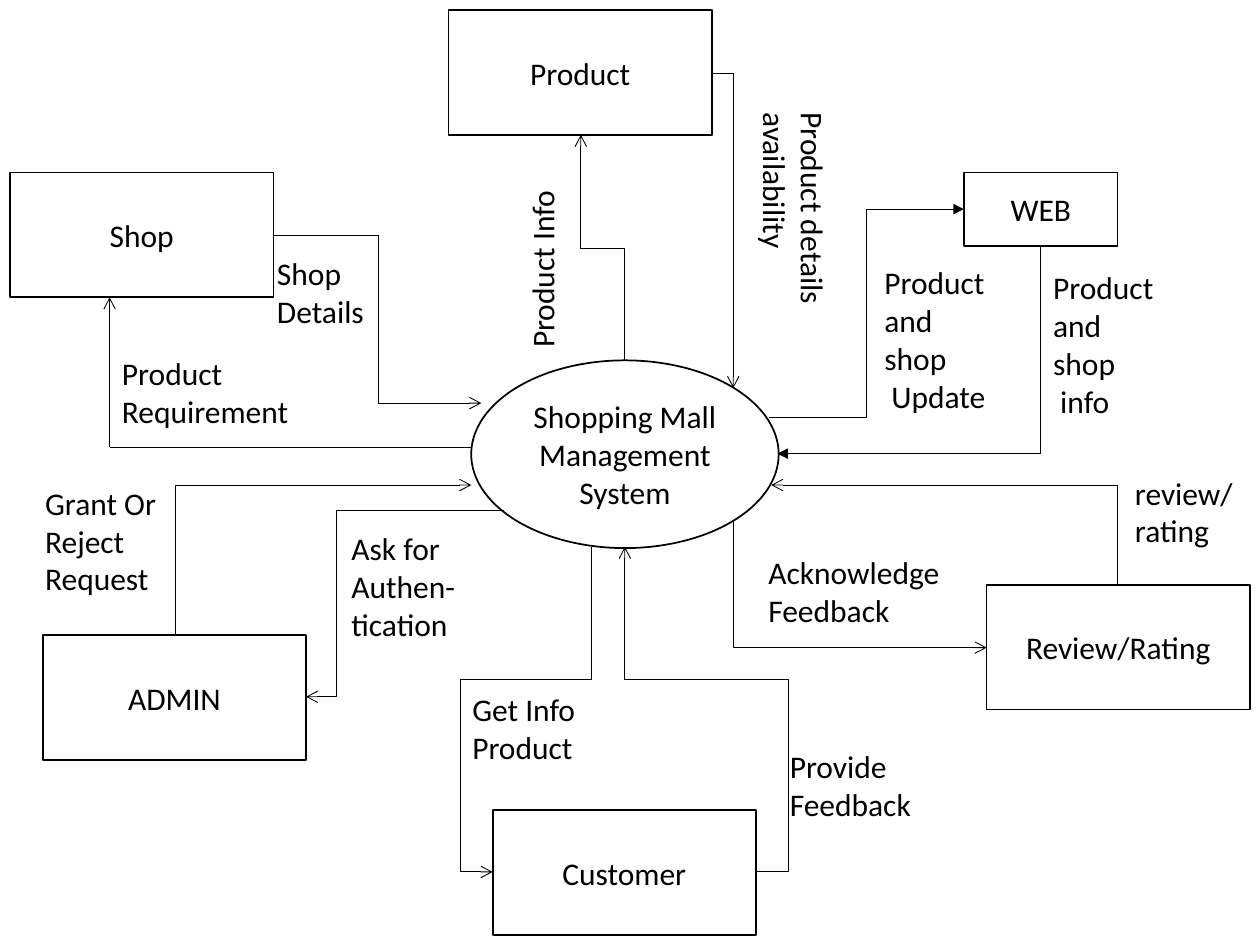
from lxml import etree
from pptx import Presentation
from pptx.dml.color import RGBColor
from pptx.enum.shapes import MSO_CONNECTOR, MSO_SHAPE
from pptx.enum.text import MSO_ANCHOR, MSO_AUTO_SIZE, PP_ALIGN
from pptx.oxml.ns import qn
from pptx.util import Inches, Pt

RECT, OVAL = MSO_SHAPE.RECTANGLE, MSO_SHAPE.OVAL
STRAIGHT, ELBOW = MSO_CONNECTOR.STRAIGHT, MSO_CONNECTOR.ELBOW
LEFT, CENTER = PP_ALIGN.LEFT, PP_ALIGN.CENTER
TOP, MIDDLE = MSO_ANCHOR.TOP, MSO_ANCHOR.MIDDLE
GROW = MSO_AUTO_SIZE.SHAPE_TO_FIT_TEXT

THEME = {
    "ink": RGBColor(0, 0, 0),
    "paper": RGBColor(255, 255, 255),
    "font": "Calibri",
    "size": Pt(18),
    "outline": Pt(1),
    "flow": Pt(0.5),
}

prs = Presentation()
prs.slide_width, prs.slide_height = Inches(10), Inches(7.5)
slide = prs.slides.add_slide(prs.slide_layouts[6])


def write(shape, text, align=LEFT, anchor=TOP, wrap=True):
    """Fill a shape with one paragraph per line of text."""
    frame = shape.text_frame
    frame.word_wrap = wrap
    frame.vertical_anchor = anchor
    for i, line in enumerate(text.split("\n")):
        paragraph = frame.add_paragraph() if i else frame.paragraphs[0]
        paragraph.alignment = align
        run = paragraph.add_run()
        run.text = line
        run.font.name, run.font.size = THEME["font"], THEME["size"]
        run.font.color.rgb = THEME["ink"]


def connect(points, head="arrow"):
    """Draw a straight or right-angled connector through the points."""
    (x0, y0), (x1, y1) = points[0], points[-1]
    dx, dy = x1 - x0, y1 - y0
    bends = len(points) - 2
    flow = slide.shapes.add_connector(
        ELBOW if bends else STRAIGHT,
        Inches(x0), Inches(y0), Inches(x1), Inches(y1))
    flow.line.color.rgb, flow.line.width = THEME["ink"], THEME["flow"]
    properties = flow._element.spPr
    if bends:
        geometry = properties.find(qn("a:prstGeom"))
        geometry.set("prst", f"bentConnector{bends + 1}")
        shares = [((x - x0) / dx, (y - y0) / dy) for x, y in points]
        axis = 0
        if points[1][0] == x0:
            # A vertical start is a turned connector with its sides swapped
            axis = 1
            width, height = abs(dy), abs(dx)
            flow.left = Inches((x0 + x1 - width) / 2)
            flow.top = Inches((y0 + y1 - height) / 2)
            flow.width, flow.height = Inches(width), Inches(height)
            frame = properties.find(qn("a:xfrm"))
            frame.set("rot", str((90 if dx * dy < 0 else 270) * 60000))
            frame.set("flipH", str(int(dx > 0)))
            frame.set("flipV", str(int(dy < 0)))
        guides = geometry.find(qn("a:avLst"))
        if guides is None:
            guides = etree.SubElement(geometry, qn("a:avLst"))
        for i in range(1, bends):
            share = shares[i][axis] if i == 1 else shares[i][1 - axis]
            etree.SubElement(guides, qn("a:gd"), name=f"adj{i}",
                             fmla=f"val {round(share * 100000)}")
    if head:
        etree.SubElement(properties.find(qn("a:ln")), qn("a:tailEnd"), type=head)
    etree.SubElement(properties, qn("a:effectLst"))


BOX = (2.09, 0.99)
entities = [
    ("Product", RECT, 3.56, 0.08, BOX),
    ("Shopping Mall\nManagement\nSystem", OVAL, 3.74, 2.86, (2.44, 1.49)),
    ("WEB", RECT, 7.65, 1.37, (1.22, 0.58)),
    ("Customer", RECT, 3.91, 6.43, BOX),
    ("Review/Rating", RECT, 7.83, 4.64, BOX),
    ("Shop", RECT, 0.08, 1.37, BOX),
    ("ADMIN", RECT, 0.34, 5.04, BOX),
]
for name, outline, left, top, (width, height) in entities:
    entity = slide.shapes.add_shape(
        outline, Inches(left), Inches(top), Inches(width), Inches(height))
    entity.shadow.inherit = False
    entity.fill.solid()
    entity.fill.fore_color.rgb = THEME["paper"]
    entity.line.color.rgb, entity.line.width = THEME["ink"], THEME["outline"]
    write(entity, name, align=CENTER, anchor=MIDDLE)

flows = [
    ([(5.65, 0.58), (5.82, 0.58), (5.82, 3.08)], "arrow"),
    ([(6, 6.92), (6.26, 6.92), (6.26, 5.39), (4.96, 5.39), (4.96, 4.34)], "arrow"),
    ([(4.69, 4.34), (4.69, 5.39), (3.65, 5.39), (3.65, 6.92), (3.91, 6.92)], "arrow"),
    ([(8.87, 4.64), (8.87, 3.85), (6.12, 3.85)], "arrow"),
    ([(2.17, 1.87), (3, 1.87), (3, 3.2), (3.82, 3.2)], "arrow"),
    ([(4.96, 2.86), (4.96, 1.97), (4.61, 1.97), (4.61, 1.07)], "arrow"),
    ([(4, 4.05), (2.67, 4.05), (2.67, 5.53), (2.43, 5.53)], "arrow"),
    ([(1.39, 5.04), (1.39, 3.85), (3.74, 3.85)], "arrow"),
    ([(5.82, 4.13), (5.82, 5.14), (7.83, 5.14)], "arrow"),
    ([(0.87, 3.55), (0.87, 2.36)], "arrow"),
    ([(3.74, 3.55), (0.87, 3.55)], None),
    ([(6.1, 3.31), (6.88, 3.31), (6.88, 1.66), (7.65, 1.66)], "triangle"),
    ([(8.26, 1.95), (8.26, 3.6), (6.17, 3.6)], "triangle"),
]
for points, head in flows:
    connect(points, head=head)

# Text, left, top, width, height, rotation, wrap
labels = [
    ("Product\nand\nshop\n info", 8.26, 2.08, 1.11, 1.56, 0, False),
    ("Product Info", 3.44, 1.78, 1.74, 0.42, 270, False),
    ("Product details\navailability", 5.25, 1.46, 2.07, 0.74, 90, False),
    ("Shop\nDetails", 2.1, 1.97, 0.94, 0.84, 0, False),
    ("Product\nRequirement", 0.87, 2.76, 1.67, 0.84, 0, False),
    ("Grant Or\nReject Request", 0.26, 3.79, 1.57, 1.2, 0, True),
    ("Ask for\nAuthen-\ntication", 2.69, 4.15, 1.25, 1.2, 0, True),
    ("Get Info\nProduct", 3.65, 5.43, 1.13, 0.84, 0, False),
    ("Provide\nFeedback", 6.17, 5.88, 1.23, 0.84, 0, False),
    ("Acknowledge\nFeedback", 6, 4.34, 1.7, 0.84, 0, False),
    ("review/\nrating", 8.91, 3.71, 1.03, 0.84, 0, False),
    ("Product\nand\nshop\n Update", 6.92, 2.04, 1.11, 1.56, 0, False),
]
for text, left, top, width, height, rotation, wrap in labels:
    label = slide.shapes.add_textbox(
        Inches(left), Inches(top), Inches(width), Inches(height))
    label.rotation = rotation
    label.text_frame.auto_size = GROW
    write(label, text, wrap=wrap)

prs.save("out.pptx")
